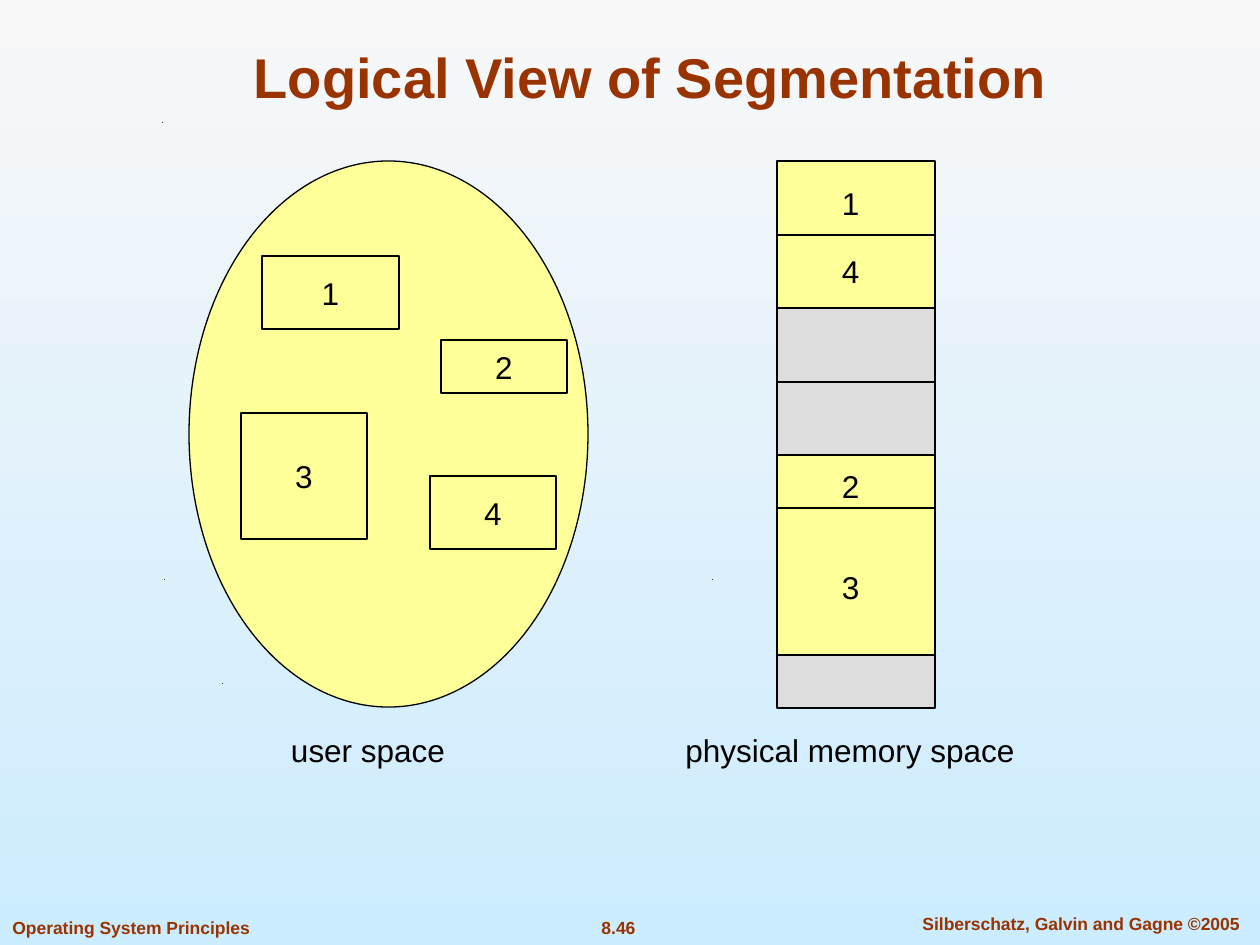
from pptx import Presentation
from pptx import util as u
from pptx.dml.color import RGBColor
from pptx.enum import shapes, text
from pptx.oxml import xmlchemy as xml

WIDE, HIGH = 1260, 945
RUST, BLACK, YELLOW, GREY = "993300", "000000", "FFFF99", "DDDDDD"
LEFT, MID = text.PP_ALIGN.LEFT, text.PP_ALIGN.CENTER
RECT, OVAL = shapes.MSO_SHAPE.RECTANGLE, shapes.MSO_SHAPE.OVAL


def px(n):
    return u.Inches(n / 126)


def rgb(code):
    return RGBColor.from_string(code)


def write(frame, words, size=18, color=BLACK, bold=False, align=MID,
          wrap=False, anchor=text.MSO_ANCHOR.MIDDLE):
    frame.word_wrap = wrap
    frame.vertical_anchor = anchor
    para = frame.paragraphs[0]
    para.text = words
    para.alignment = align
    font = para.font
    font.name, font.size, font.bold = "Arial", u.Pt(size), bold
    font.color.rgb = rgb(color)


def label(tree, box, words, **style):
    area = tree.add_textbox(*map(px, box))
    write(area.text_frame, words, **style)


def block(tree, box, fill, words="", kind=RECT):
    shape = tree.add_shape(kind, *map(px, box))
    shape.shadow.inherit = False
    shape.fill.solid()
    shape.fill.fore_color.rgb = rgb(fill)
    shape.line.color.rgb = rgb(BLACK)
    shape.line.width = u.Pt(0.75)
    if words:
        write(shape.text_frame, words)


def rule(tree, left, right, y):
    """Draw a level dividing line."""
    line = tree.add_connector(shapes.MSO_CONNECTOR.STRAIGHT,
                              px(left), px(y), px(right), px(y))
    line.line.color.rgb = rgb(BLACK)
    line.line.width = u.Pt(0.75)
    props = line._element.spPr
    props.append(xml.OxmlElement("a:effectLst"))


def speck(tree, x, y):
    """Draw a one-pixel triangular mark."""
    pen = tree.build_freeform(px(x), px(y + 1))
    pen.add_line_segments([(px(x + 1), px(y)), (px(x + 1), px(y + 1))])
    mark = pen.convert_to_shape()
    mark.shadow.inherit = False
    mark.fill.solid()
    mark.fill.fore_color.rgb = rgb(BLACK)
    mark.line.fill.background()


def backdrop(slide):
    fill = slide.background.fill
    fill.gradient()
    fill.gradient_angle = 270
    for stop, code in zip(fill.gradient_stops, ("F8F8F8", "CCECFF")):
        stop.color.rgb = rgb(code)


def footer(tree):
    small = dict(size=10, color=RUST, bold=True, wrap=True,
                 anchor=text.MSO_ANCHOR.TOP)
    label(tree, (557, 911, 123, 34), "8.46", **small)
    label(tree, (894, 907, 374, 34), "Silberschatz, Galvin and Gagne ©2005",
          **small)
    label(tree, (0, 911, 275, 34), "Operating System Principles",
          align=LEFT, **small)


def user(tree):
    """Draw the user space with its loose segments."""
    block(tree, (189, 161, 399, 546), YELLOW, kind=OVAL)
    for words, box in (("1", (262, 256, 137, 73)), ("3", (241, 413, 126, 126)),
                       ("2", (441, 340, 126, 53)), ("4", (430, 476, 126, 73))):
        block(tree, box, YELLOW, words)
    label(tree, (278, 725, 180, 50), "user space")


def memory(tree):
    """Draw physical memory as a stack of areas, some split in two."""
    left, wide, top = 777, 158, 161
    stack = tree.add_group_shape().shapes
    for high, fill, cut in ((147, YELLOW, 74), (147, GREY, 74),
                            (200, YELLOW, 53), (53, GREY, 0)):
        block(stack, (left, top, wide, high), fill)
        if cut:
            rule(stack, left, left + wide, top + cut)
        top += high
    for words, y in (("1", 178), ("4", 246), ("2", 461), ("3", 562)):
        label(stack, (829, y, 43, 50), words)
    label(tree, (673, 725, 354, 50), "physical memory space")


def main():
    deck = Presentation()
    deck.slide_width, deck.slide_height = px(WIDE), px(HIGH)
    slide = deck.slides.add_slide(deck.slide_layouts[6])
    tree = slide.shapes
    backdrop(slide)
    for x, y in ((222, 683), (164, 579), (712, 579), (162, 122)):
        speck(tree, x, y)
    footer(tree)
    label(tree, (94, 32, 1113, 84), "Logical View of Segmentation", size=32,
          color=RUST, bold=True, wrap=True, anchor=text.MSO_ANCHOR.BOTTOM)
    user(tree)
    memory(tree)
    deck.save("out.pptx")


if __name__ == "__main__":
    main()
